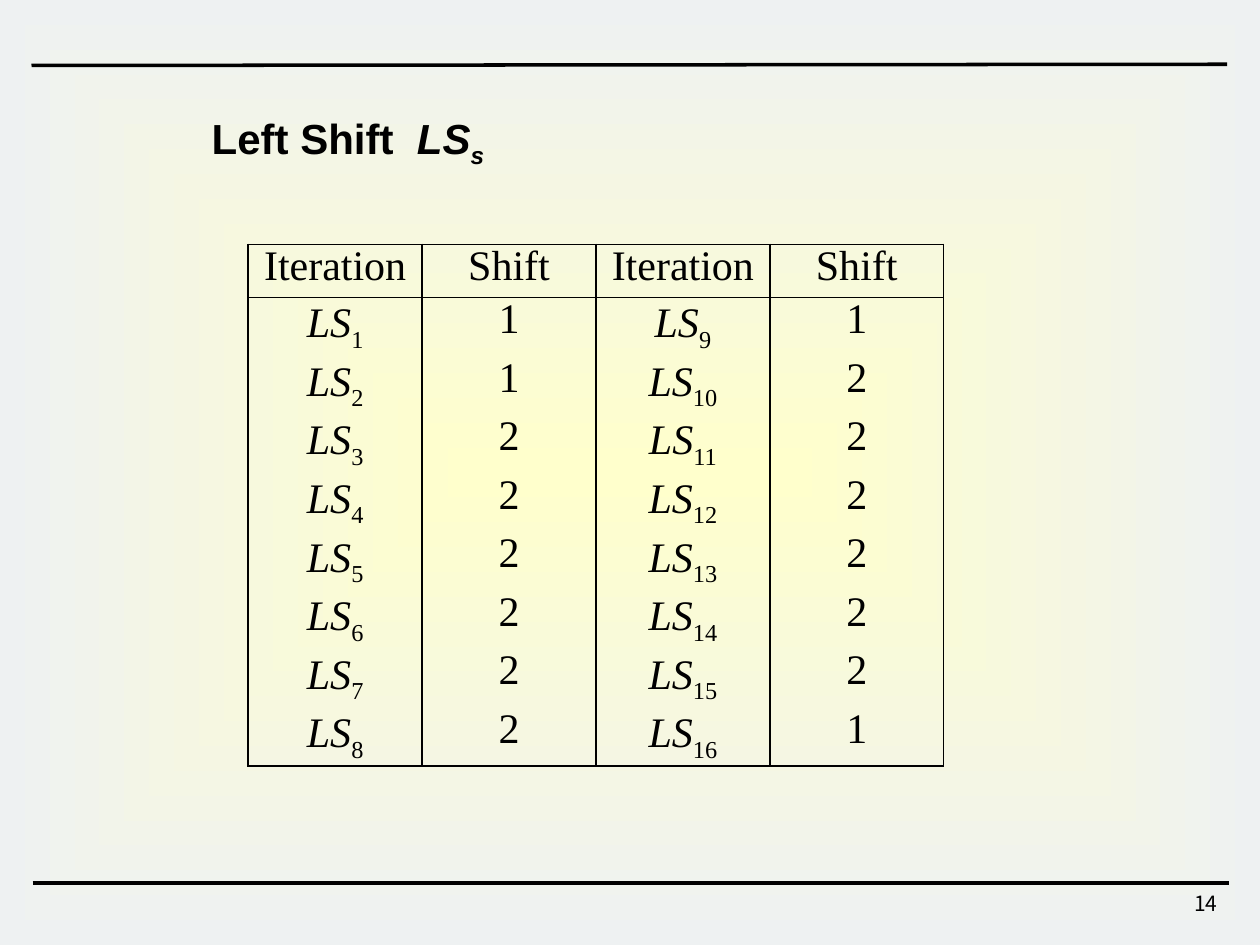
from dataclasses import dataclass

from lxml.etree import SubElement
from pptx import Presentation
from pptx.dml.color import RGBColor
from pptx.enum.shapes import MSO_CONNECTOR as Connector, MSO_SHAPE as Shape
from pptx.enum.text import MSO_ANCHOR as Anchor, MSO_AUTO_SIZE as AutoSize, PP_ALIGN as Align
from pptx.oxml.ns import qn
from pptx.util import Inches, Pt

BLACK = RGBColor(0x00, 0x00, 0x00)
CREAM = RGBColor(0xFF, 0xFF, 0xCC)
PALE_GRAY = RGBColor(0xEE, 0xF1, 0xF2)
NO_STYLE = "{2D5ABB26-0587-4C30-8999-92F81FD0307C}"

SHIFTS = [1, 1, 2, 2, 2, 2, 2, 2, 1, 2, 2, 2, 2, 2, 2, 1]
HALF = len(SHIFTS) // 2
HEADER_HEIGHT, BODY_HEIGHT, COLUMN_WIDTH = 0.42, 3.72, 1.38


@dataclass
class TextPart:
    text: str
    italic: bool = False
    subscript: bool = False


@dataclass
class Rule:
    start: tuple[float, float]
    end: tuple[float, float]


RULES = [Rule((0.25, 0.52), (9.74, 0.51)), Rule((0.26, 7.01), (9.75, 7.01))]


def add_runs(paragraph, parts: list[TextPart], font_name: str, size: int, bold: bool = False) -> None:
    for part in parts:
        run = paragraph.add_run()
        run.text = part.text
        font = run.font
        font.name, font.size, font.bold, font.italic = font_name, Pt(size), bold, part.italic
        font.color.rgb = BLACK
        if part.subscript:
            run._r.get_or_add_rPr().set("baseline", "-25000")


def add_background(slide, width: int, height: int) -> None:
    """Place a rectangle shaded from its centre behind everything else."""
    background = slide.shapes.add_shape(Shape.RECTANGLE, 0, 0, width, height)
    background.shadow.inherit = False
    background.line.fill.background()
    background.fill.gradient()
    for stop, color, position in zip(background.fill.gradient_stops, (CREAM, PALE_GRAY), (0, 1)):
        stop.color.rgb = color
        stop.position = position
    gradient = background.element.spPr.find(qn("a:gradFill"))
    gradient.remove(gradient.find(qn("a:lin")))
    shading = SubElement(gradient, qn("a:path"), path="shape")
    SubElement(shading, qn("a:fillToRect"), {side: "50000" for side in "ltrb"})
    slide.shapes.title.element.addprevious(background.element)


def add_rule(slide, rule: Rule) -> None:
    line = slide.shapes.add_connector(
        Connector.STRAIGHT, *(Inches(value) for value in rule.start + rule.end))
    line.line.color.rgb = BLACK
    line.line.width = Pt(2)
    SubElement(line.element.spPr, qn("a:effectLst"))


def set_borders(cell, visible: dict[str, bool]) -> None:
    properties = cell._tc.get_or_add_tcPr()
    for index, (side, shown) in enumerate(visible.items()):
        border = SubElement(properties, qn(f"a:ln{side}"), w=str(Pt(1)))
        if shown:
            fill = SubElement(border, qn("a:solidFill"))
            SubElement(fill, qn("a:srgbClr"), val=str(BLACK))
        else:
            SubElement(border, qn("a:noFill"))
        properties.insert(index, border)


def table_rows() -> list[list[list[TextPart]]]:
    rows = [[[TextPart(label)] for label in ("Iteration", "Shift") * 2]]
    for first in range(1, HALF + 1):
        row = []
        for number in (first, first + HALF):
            row.append([TextPart("LS", italic=True), TextPart(str(number), subscript=True)])
            row.append([TextPart(str(SHIFTS[number - 1]))])
        rows.append(row)
    return rows


def add_shift_table(slide) -> None:
    rows = table_rows()
    columns = len(rows[0])
    frame = slide.shapes.add_table(
        len(rows), columns, Inches(1.97), Inches(1.94),
        Inches(COLUMN_WIDTH * columns), Inches(HEADER_HEIGHT + BODY_HEIGHT))
    table = frame.table
    table.first_row = table.horz_banding = False
    for style in frame.element.iter(qn("a:tableStyleId")):
        style.text = NO_STYLE
    for column in table.columns:
        column.width = Inches(COLUMN_WIDTH)
    for index, row in enumerate(rows):
        table.rows[index].height = Inches(BODY_HEIGHT / HALF if index else HEADER_HEIGHT)
        visible = {"L": True, "R": True, "T": index <= 1, "B": index in (0, HALF)}
        for cell, parts in zip(table.rows[index].cells, row):
            cell.fill.background()
            cell.vertical_anchor = Anchor.TOP
            set_borders(cell, visible)
            paragraph = cell.text_frame.paragraphs[0]
            paragraph.alignment = Align.CENTER
            paragraph.line_spacing = 0.8
            add_runs(paragraph, parts, "Times New Roman", 24)


def add_title(slide) -> None:
    title = slide.shapes.title
    title.left, title.top = Inches(1.58), Inches(0.84)
    title.width, title.height = Inches(2.38), Inches(0.5)
    frame = title.text_frame
    frame.word_wrap = False
    frame.auto_size = AutoSize.SHAPE_TO_FIT_TEXT
    frame.vertical_anchor = Anchor.TOP
    paragraph = frame.paragraphs[0]
    paragraph.alignment = Align.LEFT
    parts = [TextPart("Left Shift  "), TextPart("LS", italic=True),
             TextPart("s", italic=True, subscript=True)]
    add_runs(paragraph, parts, "Arial", 24, bold=True)


def add_slide_number(slide) -> None:
    box = slide.shapes.add_textbox(Inches(7.68), Inches(7.02), Inches(2.08), Inches(0.33))
    box.text_frame.word_wrap = True
    paragraph = box.text_frame.paragraphs[0]
    paragraph.alignment = Align.RIGHT
    add_runs(paragraph, [TextPart("14")], "Noto Sans CJK KR", 12)


def main() -> None:
    presentation = Presentation()
    presentation.slide_width, presentation.slide_height = Inches(10), Inches(7.5)
    slide = presentation.slides.add_slide(presentation.slide_layouts[5])
    add_background(slide, presentation.slide_width, presentation.slide_height)
    for rule in RULES:
        add_rule(slide, rule)
    add_slide_number(slide)
    add_title(slide)
    add_shift_table(slide)
    presentation.save("out.pptx")


if __name__ == "__main__":
    main()
